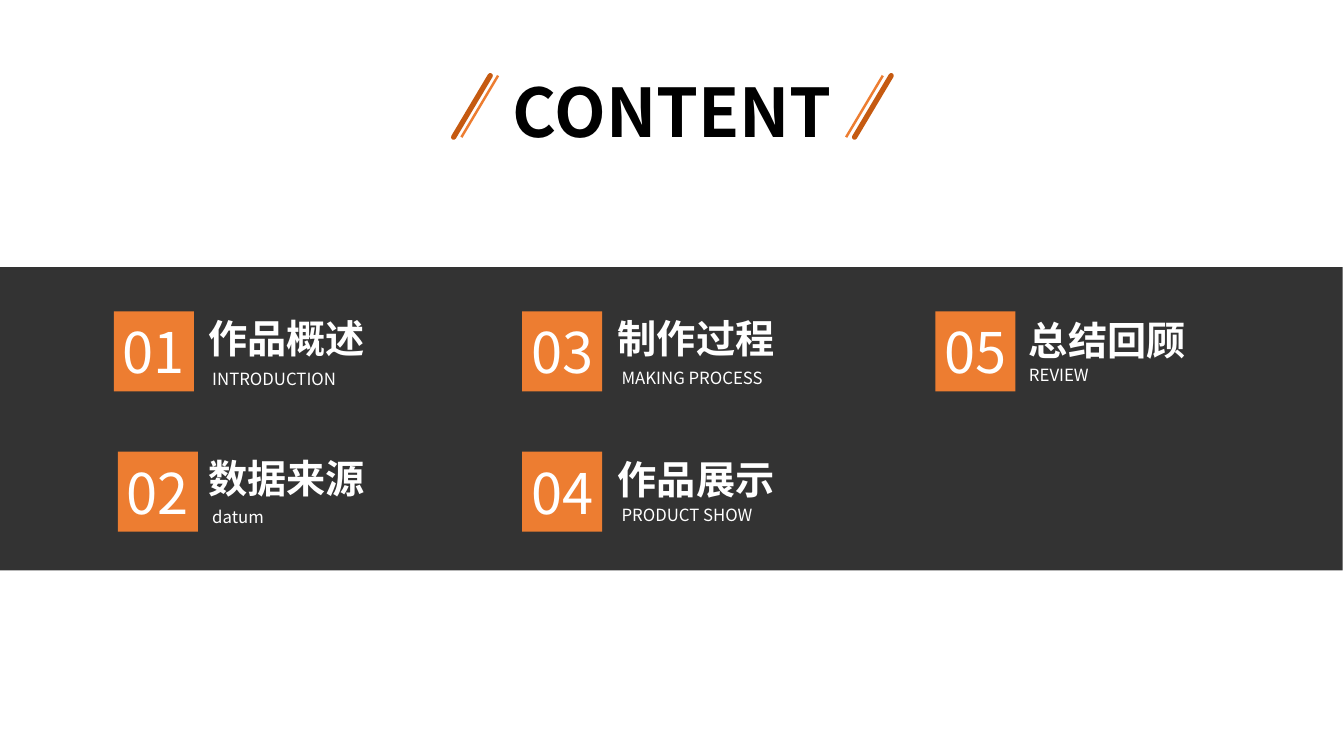
from dataclasses import dataclass

from lxml import etree
from pptx import Presentation
from pptx.dml.color import RGBColor
from pptx.enum import shapes, text
from pptx.oxml import ns
from pptx.util import Pt


@dataclass(frozen=True)
class Theme:
    font: str = "Noto Sans CJK SC"
    black: str = "000000"
    white: str = "FFFFFF"
    orange: str = "ED7D31"
    dark_orange: str = "C55A11"
    heading: int = 48
    number: int = 40
    title: int = 28
    caption: int = 12


THEME = Theme()
SQUARE = 57.2
ROW_TOPS = (222.5, 322.6)
TITLE_LEFTS = (141.8, 434.2, 727.9)

# number, title, caption, column, row, square left, title shift, caption shift, caption indent
TOPICS = (
    ("01", "作品概述", "INTRODUCTION", 0, 0, 81.4, -2, 37.4, 2.7),
    ("02", "数据来源", "datum", 0, 1, 84.2, -1.5, 36, 2.7),
    ("03", "制作过程", "MAKING PROCESS", 1, 0, 373, -1.5, 36.7, 2.7),
    ("04", "作品展示", "PRODUCT SHOW", 1, 1, 373, -0.8, 34.5, 2.7),
    ("05", "总结回顾", "REVIEW", 2, 0, 668.2, 0, 34.5, 0),
)


def write_text(shape, words, *, size, color=THEME.white, bold=False,
               align=text.PP_ALIGN.LEFT, anchor=text.MSO_ANCHOR.TOP, wrap=False):
    frame = shape.text_frame
    frame.word_wrap = wrap
    frame.vertical_anchor = anchor
    paragraph = frame.paragraphs[0]
    paragraph.alignment = align
    run = paragraph.add_run()
    run.text = words
    run.font.size = Pt(size)
    run.font.bold = bold
    run.font.color.rgb = RGBColor.from_string(color)
    run.font.name = THEME.font
    # Chinese characters take their font from the East Asian slot
    east_asian = etree.SubElement(run.font._element, ns.qn("a:ea"))
    east_asian.set("typeface", THEME.font)


def add_text(slide, words, left, top, width, height, **style):
    box = slide.shapes.add_textbox(Pt(left), Pt(top), Pt(width), Pt(height))
    write_text(box, words, **style)


def add_block(slide, left, top, width, height, color, opacity=100):
    block = slide.shapes.add_shape(
        shapes.MSO_SHAPE.RECTANGLE, Pt(left), Pt(top), Pt(width), Pt(height))
    block.shadow.inherit = False
    block.line.fill.background()
    block.fill.solid()
    block.fill.fore_color.rgb = RGBColor.from_string(color)
    if opacity < 100:
        color_element = block._element.spPr.find(f".//{ns.qn('a:srgbClr')}")
        alpha = etree.SubElement(color_element, ns.qn("a:alpha"))
        alpha.set("val", str(opacity * 1000))
    return block


def add_slash(slide, left, color, width, cap):
    slash = slide.shapes.add_connector(
        shapes.MSO_CONNECTOR.STRAIGHT, Pt(left + 26.2), Pt(54), Pt(left), Pt(98))
    slash.line.color.rgb = RGBColor.from_string(color)
    slash.line.width = Pt(width)
    slash.line._get_or_add_ln().set("cap", cap)
    etree.SubElement(slash._element.spPr, ns.qn("a:effectLst"))


def add_heading(slide):
    add_text(slide, "CONTENT", 351.4, 46.8, 257.8, 65.5, size=THEME.heading,
             color=THEME.black, bold=True, align=text.PP_ALIGN.CENTER)
    for thin_left, thick_left in ((329.6, 324), (604.4, 610.4)):
        add_slash(slide, thin_left, THEME.orange, 1.75, "flat")
        add_slash(slide, thick_left, THEME.dark_orange, 3.75, "rnd")


def add_topic(slide, number, title, caption, column, row, square_left,
              title_shift, caption_shift, caption_indent):
    left, top = TITLE_LEFTS[column], ROW_TOPS[row]
    add_text(slide, title, left, top + title_shift, 151.2, 41, size=THEME.title,
             bold=True, anchor=text.MSO_ANCHOR.MIDDLE, wrap=True)
    add_text(slide, caption, left + caption_indent, top + caption_shift, 126, 21.6,
             size=THEME.caption)
    square = add_block(slide, square_left, top, SQUARE, SQUARE, THEME.orange)
    write_text(square, number, size=THEME.number, align=text.PP_ALIGN.CENTER,
               anchor=text.MSO_ANCHOR.MIDDLE)


def main():
    presentation = Presentation()
    presentation.slide_width, presentation.slide_height = Pt(960), Pt(540)
    slide = presentation.slides.add_slide(presentation.slide_layouts[6])

    # Dark band behind the topics
    add_block(slide, -4.3, 190.8, 963.4, 216.7, THEME.black, opacity=80)

    # Heading between slashes
    add_heading(slide)

    # Numbered topics
    for topic in TOPICS:
        add_topic(slide, *topic)

    presentation.save("out.pptx")


if __name__ == "__main__":
    main()
